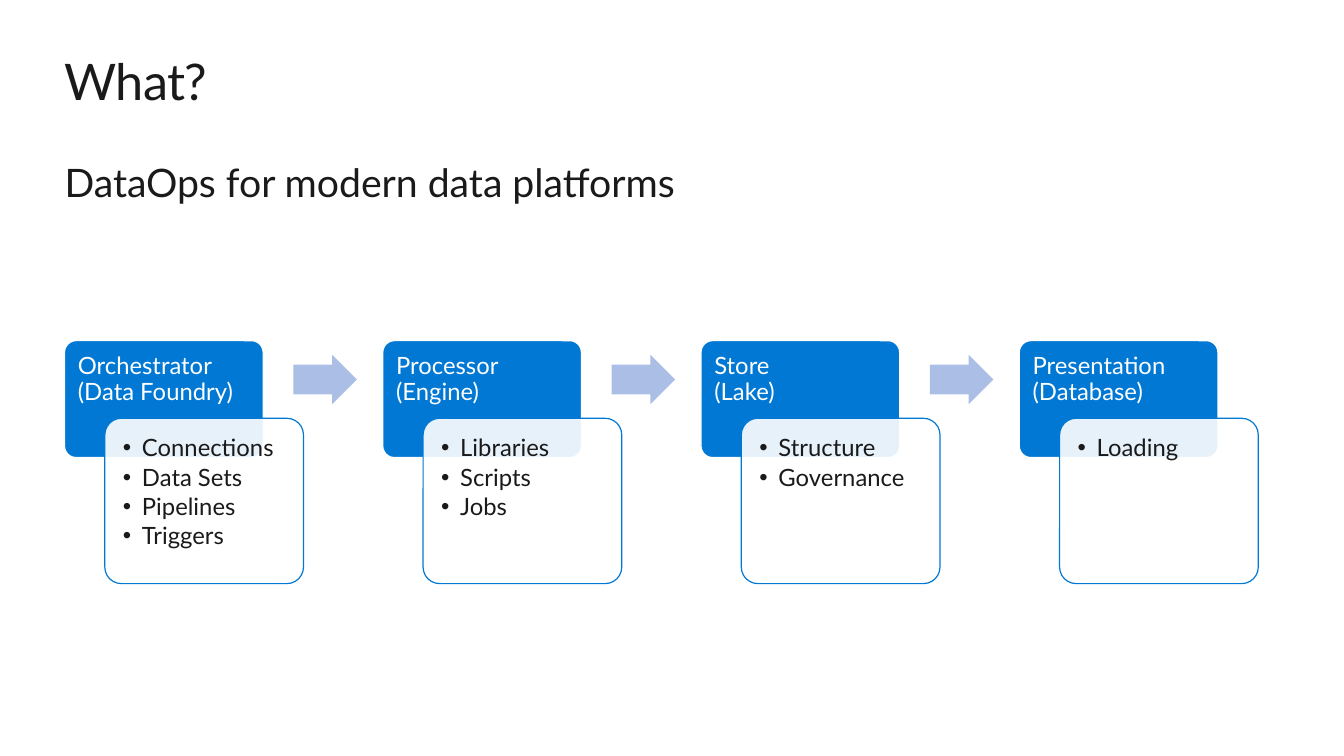
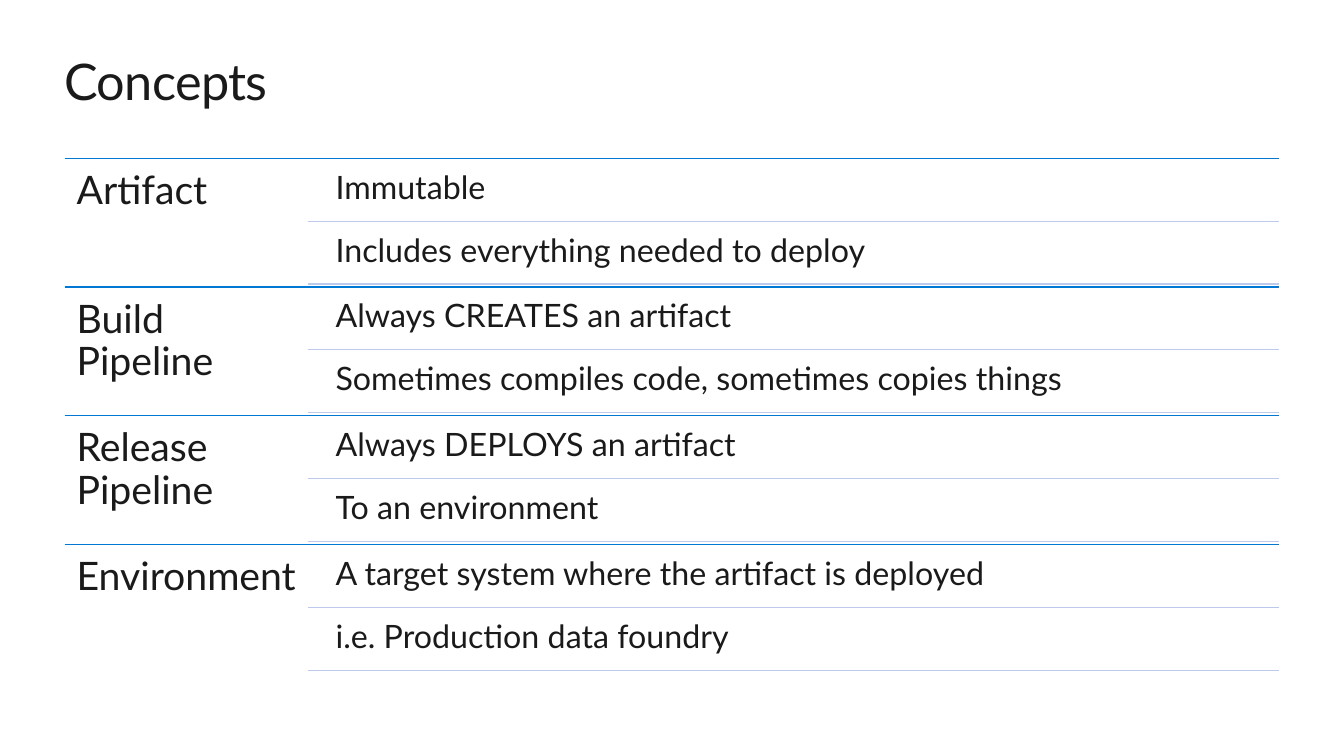
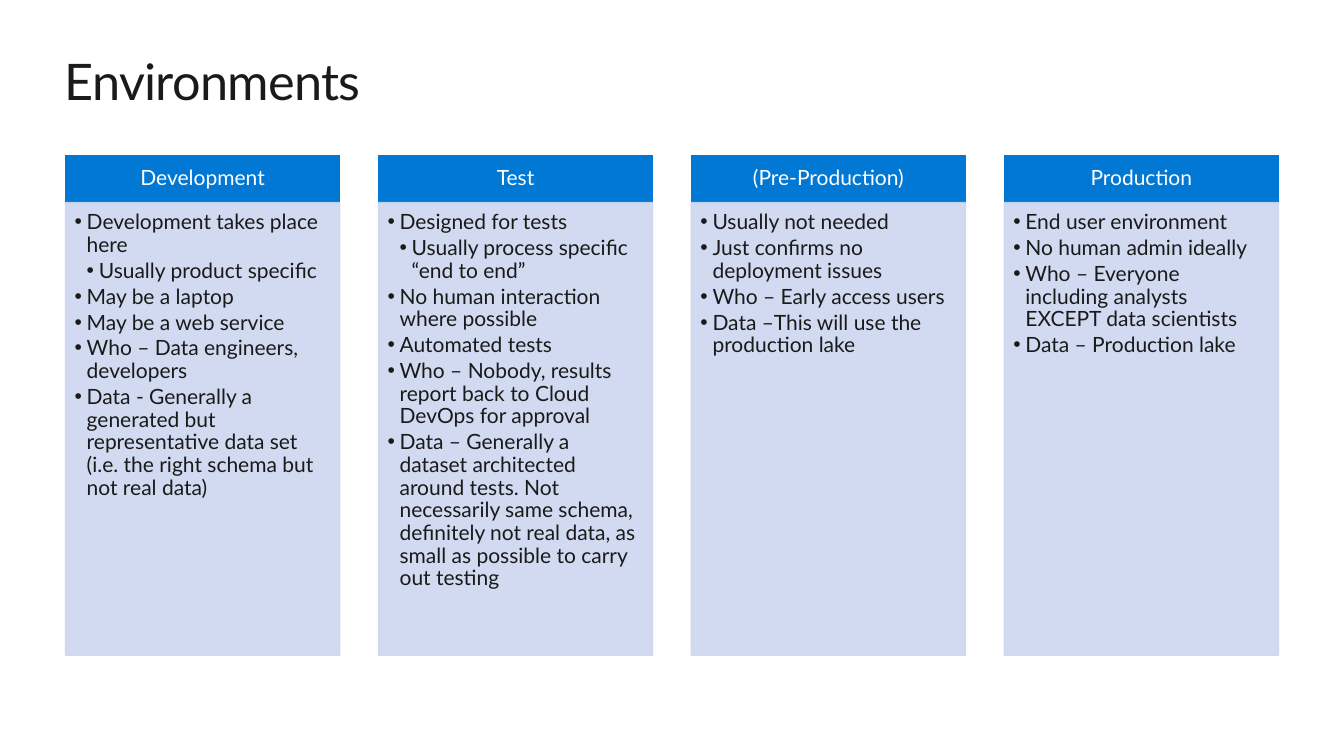
import copy

import lxml.etree
import pptx
import pptx.dml.color
import pptx.enum.shapes
import pptx.enum.text
import pptx.oxml.ns
import pptx.util

Inches = pptx.util.Inches
Pt = pptx.util.Pt
SHAPE = pptx.enum.shapes.MSO_SHAPE
ALIGN = pptx.enum.text.PP_ALIGN
ANCHOR = pptx.enum.text.MSO_ANCHOR
qn = pptx.oxml.ns.qn

COLORS = {
    "ink": "1A1A1A",
    "white": "FFFFFF",
    "blue": "0078D4",
    "arrow": "ABBEE6",
    "panel": "CCD6EF",
    "rule": "BDCAEB",
}
FONT = "Lato"
LINE_WIDTH = Pt(0.85)
LEFT, CONTENT_WIDTH = 0.64, 12.05

STAGES = [
    ("Orchestrator\n(Data Foundry)", ["Connections", "Data Sets", "Pipelines", "Triggers"]),
    ("Processor\n(Engine)", ["Libraries", "Scripts", "Jobs"]),
    ("Store\n(Lake)", ["Structure", "Governance"]),
    ("Presentation (Database)", ["Loading"]),
]
CONCEPTS = [
    ("Artifact", ["Immutable", "Includes everything needed to deploy"]),
    ("Build Pipeline", ["Always CREATES an artifact",
                        "Sometimes compiles code, sometimes copies things"]),
    ("Release Pipeline", ["Always DEPLOYS an artifact", "To an environment"]),
    ("Environment", ["A target system where the artifact is deployed",
                     "i.e. Production data foundry"]),
]
# A nested list holds second-level points.
ENVIRONMENTS = [
    ("Development", [
        "Development takes place here",
        ["Usually product specific"],
        "May be a laptop",
        "May be a web service",
        "Who – Data engineers, developers",
        "Data - Generally a generated but representative data set "
        "(i.e. the right schema but not real data)",
    ]),
    ("Test", [
        "Designed for tests",
        ["Usually process specific “end to end”"],
        "No human interaction where possible",
        "Automated tests",
        "Who – Nobody, results report back to Cloud DevOps for approval",
        "Data – Generally a dataset architected around tests. Not necessarily same schema, "
        "definitely not real data, as small as possible to carry out testing",
    ]),
    ("(Pre-Production)", [
        "Usually not needed",
        "Just confirms no deployment issues",
        "Who – Early access users",
        "Data –This will use the production lake",
    ]),
    ("Production", [
        "End user environment",
        "No human admin ideally",
        "Who – Everyone including analysts EXCEPT data scientists",
        "Data – Production lake",
    ]),
]


def rgb(name):
    return pptx.dml.color.RGBColor.from_string(COLORS[name])


def set_opacity(color_format, percent):
    """Make a solid fill partly transparent."""
    color = color_format._xPr.find(qn("a:solidFill"))[0]
    lxml.etree.SubElement(color, qn("a:alpha"), val=str(percent * 1000))


def write(shape, items, size, color="ink", insets=(0, 0, 0, 0), align=ALIGN.LEFT,
          anchor=ANCHOR.TOP, line_spacing=0.9, after=0, bullet_indent=None, tracking=None):
    """Fill a shape with paragraphs; after is a share of the text size."""
    frame = shape.text_frame
    frame.word_wrap = True
    frame.vertical_anchor = anchor
    frame.margin_left, frame.margin_top, frame.margin_right, frame.margin_bottom = map(
        Inches, insets)
    for index, item in enumerate(items):
        nested = isinstance(item, list)
        paragraph = frame.add_paragraph() if index else frame.paragraphs[0]
        paragraph.text = item[0] if nested else item
        paragraph.alignment = align
        paragraph.line_spacing = line_spacing
        paragraph.space_after = Pt(round(size * after, 2))
        for run in paragraph.runs:
            run.font.name = FONT
            run.font.size = Pt(size)
            run.font.color.rgb = rgb(color)
            if tracking is not None:
                run.font._element.set("spc", str(int(tracking * 100)))
        for line_break in paragraph._p.findall(qn("a:br")):
            line_break.append(copy.deepcopy(paragraph.runs[0].font._element))
        if bullet_indent:
            level = 2 if nested else 1
            properties = paragraph._p.get_or_add_pPr()
            properties.set("marL", str(Inches(bullet_indent * level)))
            properties.set("indent", str(-Inches(bullet_indent)))
            lxml.etree.SubElement(properties, qn("a:buFont"), typeface="Arial")
            lxml.etree.SubElement(properties, qn("a:buChar"), char="•")


def add_text(slide, box, text, **text_format):
    write(slide.shapes.add_textbox(*map(Inches, box)), [text], **text_format)


def add_block(slide, kind, box, fill, line=None, adjustments=(), fill_opacity=None,
              line_opacity=None):
    block = slide.shapes.add_shape(kind, *map(Inches, box))
    block.shadow.inherit = False
    for index, value in enumerate(adjustments):
        block.adjustments[index] = value
    block.fill.solid()
    block.fill.fore_color.rgb = rgb(fill)
    if fill_opacity:
        set_opacity(block.fill, fill_opacity)
    if line:
        block.line.color.rgb = rgb(line)
        block.line.width = LINE_WIDTH
        if line_opacity:
            set_opacity(block.line.fill, line_opacity)
    else:
        block.line.fill.background()
    return block


def add_rule(slide, left, right, top, color):
    rule = slide.shapes.add_connector(
        pptx.enum.shapes.MSO_CONNECTOR.STRAIGHT,
        Inches(left), Inches(top), Inches(right), Inches(top))
    rule.line.color.rgb = rgb(color)
    rule.line.width = LINE_WIDTH
    lxml.etree.SubElement(rule._element.spPr, qn("a:effectLst"))


def add_titled_slide(deck, title):
    slide = deck.slides.add_slide(deck.slide_layouts[6])
    add_text(slide, (LEFT, 0.5, CONTENT_WIDTH, 0.61), title, size=36,
             line_spacing=1, tracking=-0.5)
    return slide


def add_stage(slide, left, top, name, parts):
    """Place a blue stage with its overlapping card of parts."""
    width = 1.97
    stage = add_block(slide, SHAPE.ROUNDED_RECTANGLE, (left, top, width, 1.16),
                      "blue", "white", [0.1])
    write(stage, [name], size=17, color="white", insets=(0.1, 0.1, 0.1, 0.04), after=0.35)
    card = add_block(slide, SHAPE.ROUNDED_RECTANGLE, (left + 0.4, top + 0.77, width, 1.64),
                     "white", "blue", [0.1], fill_opacity=90)
    write(card, parts, size=17, insets=(0.13,) * 4, after=0.15, bullet_indent=0.19)


def add_flow(slide, left, top, width, stages):
    pitch = (width - 2.38) / (len(stages) - 1)
    for index, (name, parts) in enumerate(stages):
        stage_left = left + index * pitch
        add_stage(slide, stage_left, top, name, parts)
        if index < len(stages) - 1:
            add_block(slide, SHAPE.RIGHT_ARROW, (stage_left + 2.27, top + 0.14, 0.63, 0.49),
                      "arrow", adjustments=[0.6, 0.5])


def add_concept(slide, left, top, width, height, term, details):
    """Place a term on the left and its ruled detail lines on the right."""
    term_width, detail_indent, detail_gap = 2.41, 0.18, 0.03
    right = left + width
    detail_left = left + term_width
    pitch = (height - detail_gap) / len(details)
    add_rule(slide, left, right, top, "blue")
    add_text(slide, (left, top, term_width, height), term, size=28,
             insets=(0.12, 0.12, 0.1, 0.12), after=0.35)
    for index, detail in enumerate(details):
        detail_top = top + index * pitch
        add_text(slide, (detail_left + detail_indent, detail_top + detail_gap,
                         width - term_width - detail_indent, pitch - detail_gap),
                 detail, size=23, insets=(0.1,) * 4, after=0.35)
        add_rule(slide, detail_left, right, detail_top + pitch, "rule")


def add_environment(slide, left, top, width, height, name, points):
    """Place a column with a blue heading above a pale panel."""
    heading_height = 0.47
    heading = add_block(slide, SHAPE.RECTANGLE, (left, top, width, heading_height),
                        "blue", "blue")
    write(heading, [name], size=15, color="white", insets=(0.12, 0.07, 0.12, 0.07),
          align=ALIGN.CENTER, anchor=ANCHOR.MIDDLE, after=0.35)
    panel = add_block(slide, SHAPE.RECTANGLE,
                      (left, top + heading_height, width, height - heading_height),
                      "panel", "panel", fill_opacity=90, line_opacity=90)
    write(panel, points, size=15, insets=(0.09, 0.09, 0.12, 0.13), after=0.15,
          bullet_indent=0.12)


def build_what(deck):
    slide = add_titled_slide(deck, "What?")
    add_text(slide, (LEFT, 1.57, CONTENT_WIDTH, 0.47), "DataOps for modern data platforms",
             size=28, line_spacing=1)
    add_flow(slide, LEFT, 3.38, 11.85, STAGES)


def build_concepts(deck):
    slide = add_titled_slide(deck, "Concepts")
    top, height = 1.57, 5.11
    row_height = height / len(CONCEPTS)
    for index, (term, details) in enumerate(CONCEPTS):
        add_concept(slide, LEFT, top + index * row_height, CONTENT_WIDTH, row_height,
                    term, details)


def build_environments(deck):
    slide = add_titled_slide(deck, "Environments")
    left, width, column_width = 0.65, 12.03, 2.72
    pitch = (width - column_width) / (len(ENVIRONMENTS) - 1)
    for index, (name, points) in enumerate(ENVIRONMENTS):
        add_environment(slide, left + index * pitch, 1.54, column_width, 4.96, name, points)


def main():
    deck = pptx.Presentation()
    deck.slide_width = Inches(13.33)
    deck.slide_height = Inches(7.5)
    build_what(deck)
    build_concepts(deck)
    build_environments(deck)
    deck.save("out.pptx")


if __name__ == "__main__":
    main()
